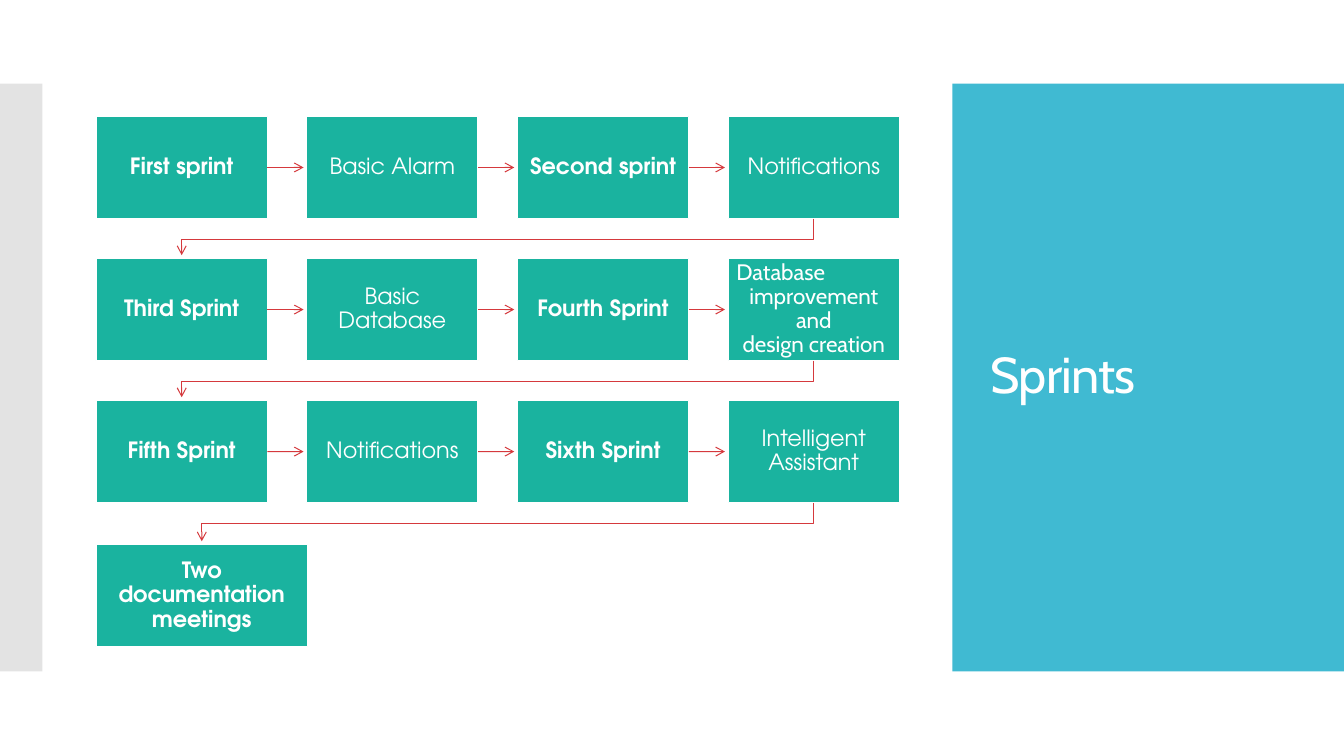
from pptx import Presentation
from pptx.dml.color import RGBColor
from pptx.enum.shapes import MSO_CONNECTOR, MSO_SHAPE
from pptx.enum.text import MSO_ANCHOR, MSO_AUTO_SIZE, PP_ALIGN
from pptx.oxml.ns import qn
from pptx.util import Cm, Pt
from lxml.etree import SubElement

SANS, GEO = "Cabin", "TeX Gyre Adventor"
WHITE, BLUE, GREY, GREEN, RED = "FFFFFF", "40BAD2", "C8C8C8", "1AB39F", "D5393D"
STEPS = [
    ["First sprint", "Basic Alarm", "Second sprint", "Notifications"],
    ["Third Sprint", "Basic Database", "Fourth Sprint",
     "Database\nimprovement and\vdesign creation"],
    ["Fifth Sprint", "Notifications", "Sixth Sprint", "Intelligent Assistant"],
]
LAST = "Two documentation meetings"
GAP = 0.08


def paint(fmt, tone):
    """Set a solid colour from a hex string."""
    fmt.solid()
    fmt.fore_color.rgb = RGBColor.from_string(tone)


def block(slide, x, y, w, h, tone):
    """Add a plain filled rectangle."""
    box = slide.shapes.add_shape(MSO_SHAPE.RECTANGLE, Cm(x), Cm(y), Cm(w), Cm(h))
    box.shadow.inherit = False
    paint(box.fill, tone)
    box.line.fill.background()
    return box


def write(para, text, font, size, bold=False):
    """Add the text as white runs, with a line break at each tab."""
    para.line_spacing = 0.9
    for i, part in enumerate(text.split("\v")):
        if i:
            para.add_line_break()
        run = para.add_run()
        run.text = part
        run.font.name, run.font.size, run.font.bold = font, Pt(size), bold
        paint(run.font.fill, WHITE)


def card(slide, x, y, w, h, text, bold):
    """Add a green box with its label; the first of two lines sits left."""
    box = block(slide, x, y, w, h, GREEN)
    paint(box.line.fill, WHITE)
    box.line.width = Pt(0.85)
    frame = box.text_frame
    frame.word_wrap = True
    frame.vertical_anchor = MSO_ANCHOR.MIDDLE
    frame.margin_left = frame.margin_right = Cm(0.21)
    frame.margin_top = frame.margin_bottom = Cm(0.23)
    lines = text.split("\n")
    for i, line in enumerate(lines):
        para = frame.add_paragraph() if i else frame.paragraphs[0]
        end = i == len(lines) - 1
        para.alignment = PP_ALIGN.CENTER if end else PP_ALIGN.LEFT
        para.space_after = Pt(5.6 if end else 0)
        write(para, line, SANS if len(lines) > 1 else GEO, 16, bold)
    return box


def tip(shape):
    """Style a line in red with an open arrowhead at its end."""
    paint(shape.line.fill, RED)
    shape.line.width = Pt(0.75)
    line = shape.element.spPr.find(qn("a:ln"))
    SubElement(line, qn("a:tailEnd"), type="arrow")


def link(slide, box, x, y, size):
    """Draw a straight arrow out of the right side of a box."""
    arrow = slide.shapes.add_connector(
        MSO_CONNECTOR.STRAIGHT, Cm(x), Cm(y), Cm(x + size), Cm(y))
    arrow.begin_connect(box, 3)
    tip(arrow)
    SubElement(arrow.element.spPr, qn("a:effectLst"))


def bend(slide, x, y, to, end):
    """Draw a stepped arrow down to the start of the next row."""
    mid = y + 0.52
    pen = slide.shapes.build_freeform(Cm(x), Cm(y))
    pen.add_line_segments(
        [(Cm(x), Cm(mid)), (Cm(to), Cm(mid)), (Cm(to), Cm(end))], close=False)
    path = pen.convert_to_shape()
    path.shadow.inherit = False
    path.fill.background()
    tip(path)


def flow(slide, x, y, w, h):
    """Place the rows of sprints and the closing box in the given area."""
    wide, high, final = 4.32, 2.58, 5.33
    dx, dy = (w - wide) / 3, 3.58
    foot = y + h - high
    for r, row in enumerate(STEPS):
        top = y + r * dy
        done = r == len(STEPS) - 1
        for c, text in enumerate(row):
            left = x + c * dx
            box = card(slide, left, top, wide, high, text, c % 2 == 0)
            if c < len(row) - 1:
                link(slide, box, left + wide, top + high / 2, dx - wide - GAP)
        bend(slide, left + wide / 2, top + high,
             x + (final if done else wide) / 2,
             (foot if done else top + dy) - GAP)
    card(slide, x, foot, final, high, LAST, True)


def panel(slide, x, y, w, h):
    """Place the blue panel with the slide title."""
    block(slide, x, y, w, h, BLUE)
    title = slide.shapes.title
    title.left, title.top = Cm(x + 0.71), Cm(y + 1.02)
    title.width, title.height = Cm(w - 1.68), Cm(h - 2.04)
    title.element.getparent().append(title.element)
    frame = title.text_frame
    frame.word_wrap = True
    frame.auto_size = MSO_AUTO_SIZE.NONE
    frame.vertical_anchor = MSO_ANCHOR.MIDDLE
    para = frame.paragraphs[0]
    para.alignment = PP_ALIGN.LEFT
    write(para, "Sprints", SANS, 36)
    para.runs[0].font.fill
    para.runs[0].font.bold = False
    para.runs[0].font.italic = False
    title.element.find(".//" + qn("a:rPr")).set("spc", "-60")


def strip(slide, x, y, w, h):
    """Place the half-clear grey strip."""
    bar = block(slide, x, y, w, h, GREY)
    tone = bar.element.spPr.find(qn("a:solidFill")).find(qn("a:srgbClr"))
    SubElement(tone, qn("a:alpha"), val="50000")


def main():
    """Build the slide and save it."""
    deck = Presentation()
    deck.slide_width, deck.slide_height = Cm(33.87), Cm(19.05)
    slide = deck.slides.add_slide(deck.slide_layouts[5])
    paint(slide.background.fill, WHITE)
    panel(slide, 24, 2.11, 9.87, 14.81)
    strip(slide, 0, 2.11, 1.07, 14.81)
    flow(slide, 2.42, 2.93, 20.25, 13.37)
    deck.save("out.pptx")


if __name__ == "__main__":
    main()
